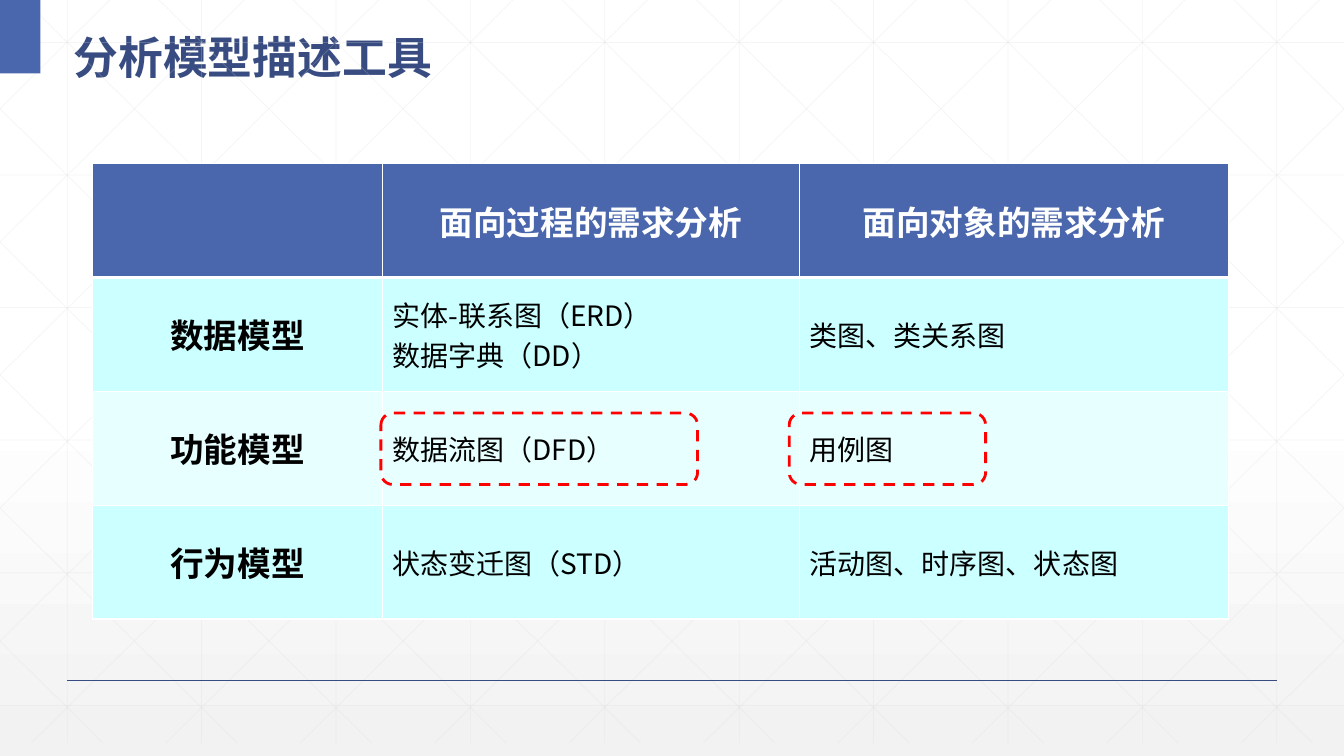
import pptx
import pptx.dml.color
import pptx.enum.dml
import pptx.enum.shapes
import pptx.enum.text
import pptx.oxml
import pptx.oxml.ns
import pptx.util

Cm = pptx.util.Cm
Pt = pptx.util.Pt
qn = pptx.oxml.ns.qn
ALIGN = pptx.enum.text.PP_ALIGN
SHAPE = pptx.enum.shapes.MSO_SHAPE
WIDE, HIGH = 33.87, 19.05
SANS, SERIF = "Noto Sans CJK SC", "Times New Roman"
BLUE, NAVY, WHITE = "4A66AC", "384C81", "FFFFFF"

ROWS = [
    ["", "面向过程的需求分析", "面向对象的需求分析"],
    ["数据模型", "实体-联系图（ERD）\n数据字典（DD）", "类图、类关系图"],
    ["功能模型", "数据流图（DFD）", "用例图"],
    ["行为模型", "状态变迁图（STD）", "活动图、时序图、状态图"],
]
BANDS = [BLUE, "CCFFFF", "E7FFFF", "CCFFFF"]


def tint(code):
    """Turn a hex string into a colour."""
    return pptx.dml.color.RGBColor.from_string(code)


def say(frame, text, size=20, face=SANS, hue="000000", bold=False,
        align=ALIGN.LEFT, lead=None):
    """Write text into a frame, one paragraph per line, in one format."""
    frame.text = text
    for para in frame.paragraphs:
        para.alignment = align
        if lead:
            para.line_spacing = lead
        for run in para.runs:
            font = run.font
            font.size, font.bold, font.name = Pt(size), bold, face
            font.color.rgb = tint(hue)
            east = run._r.get_or_add_rPr().makeelement(qn("a:ea"), {"typeface": SANS})
            run._r.rPr.append(east)


def rule(shapes, start, end, hue, width, alpha=100):
    """Draw a straight line between two points."""
    kind = pptx.enum.shapes.MSO_CONNECTOR.STRAIGHT
    line = shapes.add_connector(kind, *[Cm(v) for v in (*start, *end)])
    line.line.width = Pt(width)
    line.line.color.rgb = tint(hue)
    props = line._element.spPr
    shade = next(props.iter(qn("a:srgbClr")))
    shade.append(shade.makeelement(qn("a:alpha"), {"val": str(alpha * 1000)}))
    props.append(props.makeelement(qn("a:effectLst"), {}))


def wash(slide):
    """Fill the background with a soft gradient towards the bottom."""
    fill = slide.background.fill
    fill.gradient()
    fill.gradient_angle = 270
    stops = next(slide._element.iter(qn("a:gsLst")))
    for stop in list(stops):
        stops.remove(stop)
    for place, hue, alpha in ((0, WHITE, 100), (53, WHITE, 100), (100, "F2F2F2", 65)):
        stops.append(pptx.oxml.parse_xml(
            f'<a:gs {pptx.oxml.ns.nsdecls("a")} pos="{place * 1000}">'
            f'<a:srgbClr val="{hue}"><a:alpha val="{alpha * 1000}"/></a:srgbClr></a:gs>'))


def net(slide, wide, high):
    """Draw the faint net of upright, level and slanted lines."""
    shapes = slide.shapes.add_group_shape().shapes
    step, slope = wide / 10, 1.01
    ends = [((step * (i + 0.5), 0), (step * (i + 0.5), high)) for i in range(10)]
    ends += [((0, 1.07 + 3.34 * i), (wide, 1.07 + 3.34 * i)) for i in range(6)]
    for i in range(-5, 10):
        base = 0.62 + step * i
        top, low = max(0, -base / slope), min(high, (wide - base) / slope)
        left, right = base + slope * top, base + slope * low
        ends.append(((left, top), (right, low)))
        ends.append(((wide - left, top), (wide - right, low)))
    for start, end in ends:
        rule(shapes, start, end, "D9D9D9", 0.5, 25)


def head(slide, left, top, wide, high):
    """Place the corner block and the title."""
    block = slide.shapes.add_shape(SHAPE.RECTANGLE, 0, 0, Cm(1.02), Cm(high))
    block.shadow.inherit = False
    block.fill.solid()
    block.fill.fore_color.rgb = tint(BLUE)
    block.line.fill.background()
    title = slide.shapes.title
    title.left, title.top, title.width, title.height = map(Cm, (left, top, wide, high))
    frame = title.text_frame
    frame.auto_size = pptx.enum.text.MSO_AUTO_SIZE.NONE
    frame.vertical_anchor = pptx.enum.text.MSO_ANCHOR.MIDDLE
    say(frame, "分析模型描述工具", size=32, hue=NAVY, bold=True, lead=1.3)


def edge(cell, **widths):
    """Give a cell white borders of the given widths."""
    props = cell._tc.get_or_add_tcPr()
    for side in "LRTB":
        props.append(pptx.oxml.parse_xml(
            f'<a:ln{side} {pptx.oxml.ns.nsdecls("a")} w="{Pt(widths.get(side, 1))}">'
            f'<a:solidFill><a:srgbClr val="{WHITE}"/></a:solidFill></a:ln{side}>'))


def grid(slide, left, top, cols, high):
    """Place the table that compares the models."""
    box = [Cm(v) for v in (left, top, sum(cols), high * len(ROWS))]
    table = slide.shapes.add_table(len(ROWS), len(cols), *box).table
    table.horz_banding = False
    for col, wide in zip(table.columns, cols):
        col.width = Cm(wide)
    for r, row in enumerate(ROWS):
        table.rows[r].height = Cm(high)
        for c, text in enumerate(row):
            cell = table.cell(r, c)
            edge(cell, T=3 if r == 1 else 1, B=3 if r == 0 else 1)
            cell.fill.solid()
            cell.fill.fore_color.rgb = tint(BANDS[r])
            cell.vertical_anchor = pptx.enum.text.MSO_ANCHOR.MIDDLE
            if r == 0 or c == 0:
                say(cell.text_frame, text, size=24, face=SERIF, bold=True,
                    hue="000000" if r else WHITE, align=ALIGN.CENTER)
            else:
                say(cell.text_frame, text)


def ring(slide, left, top, wide, high):
    """Mark an area with a dashed red outline."""
    mark = slide.shapes.add_shape(SHAPE.ROUNDED_RECTANGLE,
                                  *map(Cm, (left, top, wide, high)))
    mark.shadow.inherit = False
    mark.fill.background()
    mark.line.color.rgb = tint("FF0000")
    mark.line.width = Pt(2)
    mark.line.dash_style = pptx.enum.dml.MSO_LINE.DASH


def main():
    """Build the slide and save it."""
    deck = pptx.Presentation()
    deck.slide_width, deck.slide_height = Cm(WIDE), Cm(HIGH)
    slide = deck.slides.add_slide(deck.slide_layouts[5])
    wash(slide)
    net(slide, WIDE, 18.72)
    rule(slide.shapes, (1.7, 17.15), (WIDE - 1.7, 17.15), NAVY, 1)
    head(slide, 1.6, 0.3, 29.62, 1.85)
    grid(slide, 2.34, 4.12, [7.29, 10.52, 10.8], 2.87)
    for left, wide in ((9.6, 7.98), (19.89, 4.95)):
        ring(slide, left, 10.41, wide, 1.8)
    deck.save("out.pptx")


if __name__ == "__main__":
    main()
